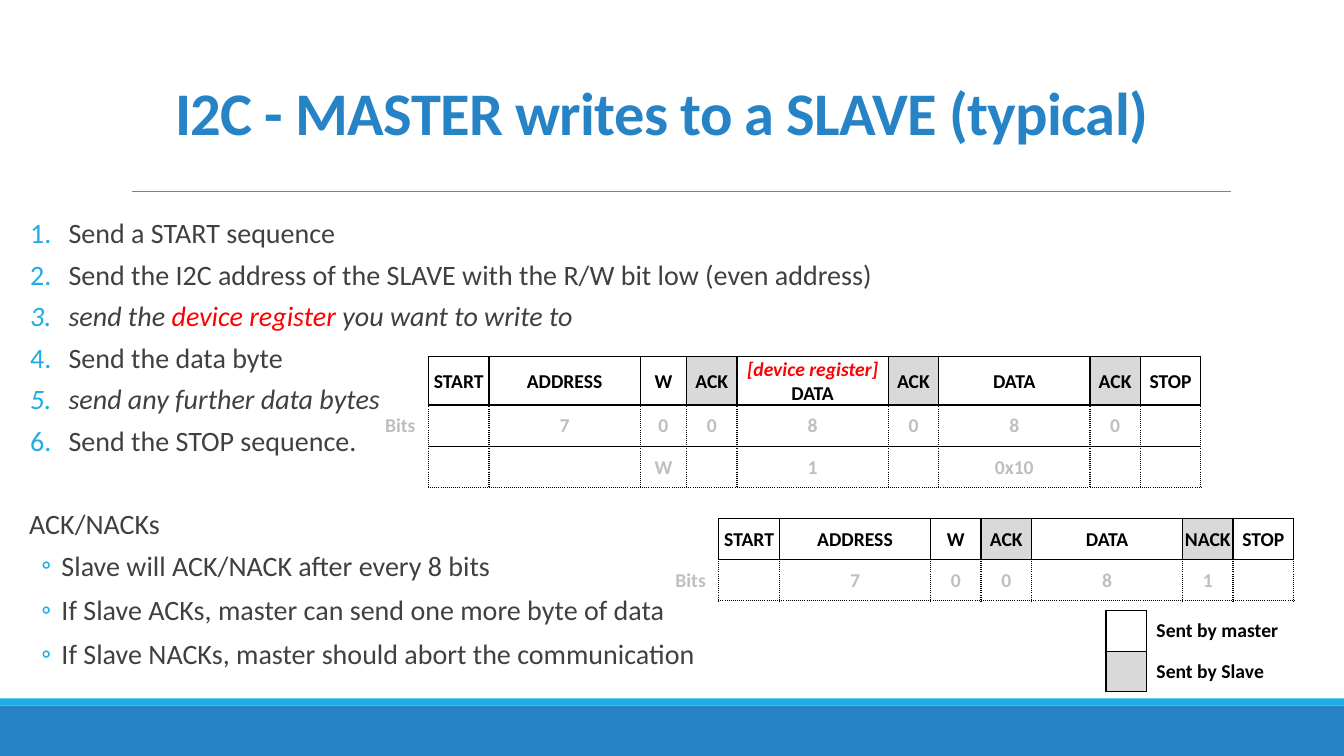
from lxml import etree
from pptx import Presentation
from pptx.dml.color import RGBColor
from pptx.enum import shapes, text
from pptx.oxml import ns
from pptx.util import Inches, Pt

BLUE = RGBColor(0x26, 0x83, 0xC6)
CYAN = RGBColor(0x1C, 0xAD, 0xE4)
RULE_GREY = RGBColor(0x80, 0x80, 0x80)
BODY_GREY = RGBColor(0x40, 0x40, 0x40)
BIT_GREY = RGBColor(0xBF, 0xBF, 0xBF)
SLAVE_GREY = RGBColor(0xD9, 0xD9, 0xD9)
WHITE = RGBColor(0xFF, 0xFF, 0xFF)
BLACK = RGBColor(0, 0, 0)
RED = RGBColor(0xFF, 0, 0)
FONT = "Calibri"
NO_STYLE = "{2D5ABB26-0587-4C30-8999-92F81FD0307C}"

# Content: a run is (text, colour, italic)
TITLE = "I2C - MASTER writes to a SLAVE (typical)"
STEPS = [
    [("Send a START sequence", BODY_GREY, False)],
    [("Send the I2C address of the SLAVE with the R/W bit low (even address)", BODY_GREY, False)],
    [("send the ", BODY_GREY, True), ("device register", RED, True),
     (" you want to write to", BODY_GREY, True)],
    [("Send the data byte", BODY_GREY, False)],
    [("send any further data bytes", BODY_GREY, True)],
    [("Send the STOP sequence.", BODY_GREY, False)],
]
ACK_HEADING = "ACK/NACKs"
ACK_NOTES = [
    "Slave will ACK/NACK after every 8 bits",
    "If Slave ACKs, master can send one more byte of data",
    "If Slave NACKs, master should abort the communication",
]
REGISTER_LABEL = "[device register]"
FRAMES = [
    {"left": 3.69, "top": 3.54, "widths": [0.56, 0.6, 1.5, 0.46, 0.5, 1.5, 0.5, 1.5, 0.5, 0.6],
     "rows": [["", "START", "ADDRESS", "W", "ACK", REGISTER_LABEL + "\nDATA", "ACK", "DATA",
               "ACK", "STOP"],
              ["Bits", "", "7", "0", "0", "8", "0", "8", "0", ""],
              ["", "", "", "W", "", "1", "", "0x10", "", ""]]},
    {"left": 6.57, "top": 5.14, "widths": [0.56, 0.6, 1.5, 0.5, 0.5, 1.5, 0.5, 0.6],
     "rows": [["", "START", "ADDRESS", "W", "ACK", "DATA", "NACK", "STOP"],
              ["Bits", "", "7", "0", "0", "8", "1", ""]]},
]
LEGEND = [("Sent by master", WHITE), ("Sent by Slave", SLAVE_GREY)]

presentation = Presentation()
presentation.slide_width, presentation.slide_height = Inches(13.33), Inches(7.5)
slide = presentation.slides.add_slide(presentation.slide_layouts[6])


def add_run(paragraph, words, size, colour, bold=False, italic=False):
    run = paragraph.add_run()
    run.text = words
    font = run.font
    font.name, font.size, font.bold, font.italic = FONT, Pt(size), bold, italic
    font.color.rgb = colour
    return run


def add_child(parent, tag, **attributes):
    return etree.SubElement(parent, ns.qn(tag), attributes)


def add_text_frame(left, top, width, height):
    box = slide.shapes.add_textbox(Inches(left), Inches(top), Inches(width), Inches(height))
    box.text_frame.word_wrap = True
    return box.text_frame


def format_paragraph(paragraph, before, after, margin, indent=0.0, bullet=None):
    paragraph.line_spacing = 0.9
    paragraph.space_before, paragraph.space_after = Pt(before), Pt(after)
    properties = paragraph._p.get_or_add_pPr()
    properties.set("marL", str(Inches(margin)))
    properties.set("indent", str(Inches(indent)))
    if bullet:
        add_child(add_child(properties, "a:buClr"), "a:srgbClr", val=str(CYAN))
        add_child(properties, "a:buFont", typeface=FONT)
        if bullet == "1.":
            add_child(properties, "a:buAutoNum", type="arabicPeriod")
        else:
            add_child(properties, "a:buChar", char=bullet)


def set_borders(cell, **dashes):
    """Keys are sides L, R, T, B; a value is the dash, or None for no line."""
    properties = cell._tc.get_or_add_tcPr()
    for side in "LRTB":
        dash = dashes.get(side)
        line = add_child(properties, "a:ln" + side, w=str(Pt(1)))
        if dash:
            add_child(add_child(line, "a:solidFill"), "a:srgbClr", val=str(BLACK))
            add_child(line, "a:prstDash", val=dash)
        else:
            add_child(line, "a:noFill")


def fill_cell(cell, colour):
    if colour is None:
        cell.fill.background()
    else:
        cell.fill.solid()
        cell.fill.fore_color.rgb = colour


def add_plain_table(left, top, widths, row_count, row_height):
    frame = slide.shapes.add_table(row_count, len(widths), Inches(left), Inches(top),
                                   Inches(sum(widths)), Inches(row_height * row_count))
    table = frame.table
    table.first_row = table.horz_banding = False
    table._tbl.tblPr.find(ns.qn("a:tableStyleId")).text = NO_STYLE
    for column, width in zip(table.columns, widths):
        column.width = Inches(width)
    for row in table.rows:
        row.height = Inches(row_height)
    return table


# Footer bands and title rule
for top, height, colour in [(7, 0.5, BLUE), (6.93, 0.07, CYAN)]:
    band = slide.shapes.add_shape(shapes.MSO_SHAPE.RECTANGLE, 0, Inches(top),
                                  presentation.slide_width, Inches(height))
    band.shadow.inherit = False
    band.fill.solid()
    band.fill.fore_color.rgb = colour
    band.line.fill.background()
rule = slide.shapes.add_connector(shapes.MSO_CONNECTOR.STRAIGHT, Inches(1.31), Inches(1.9),
                                  Inches(12.21), Inches(1.9))
rule.line.color.rgb = RULE_GREY
rule.line.width = Pt(0.5)
add_child(rule._element.spPr, "a:effectLst")

# Numbered steps and acknowledgement notes
body = add_text_frame(0.19, 2.13, 12.9, 4.72)
body.margin_left = body.margin_right = 0
for number, step in enumerate(STEPS):
    paragraph = body.add_paragraph() if number else body.paragraphs[0]
    format_paragraph(paragraph, 6, 2, 0.49, -0.38, "1.")
    for words, colour, italic in step:
        add_run(paragraph, words, 20, colour, italic=italic)
heading = body.add_paragraph()
format_paragraph(heading, 36, 2, 0.1)
add_run(heading, ACK_HEADING, 20, BODY_GREY)
for note in ACK_NOTES:
    paragraph = body.add_paragraph()
    format_paragraph(paragraph, 6, 4, 0.42, -0.2, "◦")
    add_run(paragraph, note, 20, BODY_GREY)

# Title
title = add_text_frame(1.64, 0.72, 10.06, 0.8)
title.vertical_anchor = text.MSO_ANCHOR.BOTTOM
title.paragraphs[0].line_spacing = 0.85
title_run = add_run(title.paragraphs[0], TITLE, 43.2, BLUE, bold=True)
title_run.font._element.set("spc", "-50")

# Message frames
for frame in FRAMES:
    rows = frame["rows"]
    table = add_plain_table(frame["left"], frame["top"], frame["widths"], len(rows), 0.41)
    for r, labels in enumerate(rows):
        side = "dot" if r else "solid"
        bottom = "dot" if r == len(rows) - 1 else "solid"
        for c, label in enumerate(labels):
            cell = table.cell(r, c)
            cell.margin_left = cell.margin_right = cell.margin_top = Inches(0.01)
            cell.margin_bottom = 0
            cell.vertical_anchor = text.MSO_ANCHOR.MIDDLE
            if c:
                set_borders(cell, L=side, R=side, T="solid", B=bottom)
            else:
                set_borders(cell, R=side)
            fill_cell(cell, SLAVE_GREY if label in ("ACK", "NACK") else None)
            for n, words in enumerate(label.split("\n") if label else []):
                paragraph = cell.text_frame.add_paragraph() if n else cell.text_frame.paragraphs[0]
                paragraph.alignment = text.PP_ALIGN.CENTER
                register = words == REGISTER_LABEL
                colour = RED if register else BIT_GREY if r else BLACK
                add_run(paragraph, words, 14, colour, bold=True, italic=register)

# Legend
legend = add_plain_table(10.97, 6.06, [0.4, 1.8], len(LEGEND), 0.4)
for r, (label, colour) in enumerate(LEGEND):
    swatch, caption = legend.cell(r, 0), legend.cell(r, 1)
    set_borders(swatch, **dict.fromkeys("LRTB", "solid"))
    fill_cell(swatch, colour)
    set_borders(caption, L="solid")
    fill_cell(caption, WHITE)
    caption.vertical_anchor = text.MSO_ANCHOR.MIDDLE
    add_run(caption.text_frame.paragraphs[0], label, 14, BLACK, bold=True)

presentation.save("out.pptx")
